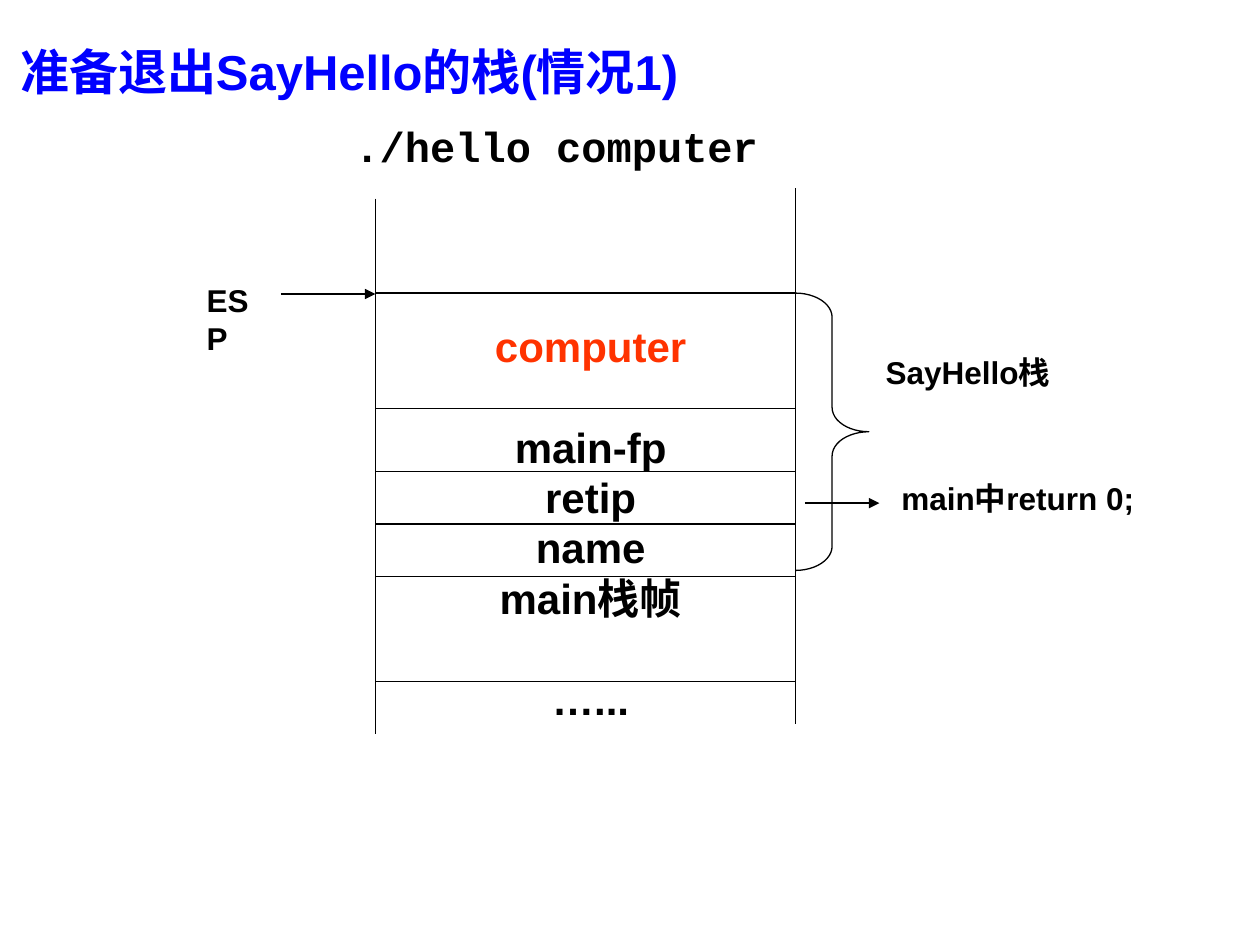
from lxml.etree import SubElement
from pptx import Presentation
from pptx.dml.color import RGBColor
from pptx.enum.shapes import MSO_CONNECTOR, MSO_SHAPE
from pptx.enum.text import PP_ALIGN as Align
from pptx.oxml.ns import qn
from pptx.util import Pt

BLACK = "000000"
LINE_HEIGHT = 28.8


def color(hex_string):
    return RGBColor.from_string(hex_string)


def format_paragraph(paragraph, size, font_color=BLACK, font_name="Arial"):
    for run in paragraph.runs:
        run.font.size = Pt(size)
        run.font.bold = True
        run.font.name = font_name
        run.font.color.rgb = color(font_color)


def add_label(slide, box, text, size, font_color=BLACK, font_name="Arial"):
    label = slide.shapes.add_textbox(*map(Pt, box))
    label.text_frame.word_wrap = False
    label.text_frame.text = text
    format_paragraph(label.text_frame.paragraphs[0], size, font_color, font_name)


def add_line(slide, start, end, width=0.75, arrow=False):
    line = slide.shapes.add_connector(
        MSO_CONNECTOR.STRAIGHT, *map(Pt, (*start, *end)))
    line.line.color.rgb = color(BLACK)
    line.line.width = Pt(width)
    if arrow:
        SubElement(line.line._get_or_add_ln(), qn("a:tailEnd"), type="triangle")
    SubElement(line._element.spPr, qn("a:effectLst"))


def add_outline(slide, preset, box):
    shape = slide.shapes.add_shape(preset, *map(Pt, box))
    shape.shadow.inherit = False
    shape.fill.background()
    shape.line.color.rgb = color(BLACK)
    shape.line.width = Pt(0.75)
    return shape


def add_headings(slide, left, top):
    add_label(slide, (left, top, 424, 41), "准备退出SayHello的栈(情况1)", 28, "0000FF")
    add_label(slide, (left + 191, top + 45.5, 245, 36), "./hello computer", 24,
              font_name="Courier New")


def add_stack_names(slide, box):
    """One line per stack entry; the two tall entries are followed by a free line."""
    entries = [("computer", "FF3300", 0), ("main-fp", BLACK, 1), ("retip", BLACK, 0),
               ("name", BLACK, 0), ("main栈帧", BLACK, 0), ("…...", BLACK, 1)]
    frame = slide.shapes.add_textbox(*map(Pt, box)).text_frame
    frame.word_wrap = True
    for index, (name, font_color, free_lines) in enumerate(entries):
        paragraph = frame.add_paragraph() if index else frame.paragraphs[0]
        paragraph.text = name
        paragraph.alignment = Align.CENTER
        paragraph.line_spacing = Pt(LINE_HEIGHT)
        paragraph.space_before = Pt(free_lines * LINE_HEIGHT)
        format_paragraph(paragraph, 24, font_color)


def add_stack(slide, left, top, width, height):
    right = left + width
    add_stack_names(slide, (left + 3, top + 72, width, 237.6))
    add_outline(slide, MSO_SHAPE.RECTANGLE, (left, top + 60, width, 66))
    for offset in (162, 192, 222, 282):
        add_line(slide, (left, top + offset), (right, top + offset))
    add_line(slide, (left, top + 6), (left, top + height), width=1)
    add_line(slide, (right, top), (right, top + height - 6))


def add_stack_pointer(slide, left, top, width):
    add_label(slide, (left, top, 50, 29), "ESP", 18)
    add_line(slide, (left + 49.5, top + 11), (left + width, top + 11), arrow=True)


def add_frame_notes(slide, left, top, height):
    """Brace around the SayHello frame, and where its return address leads."""
    brace = add_outline(slide, MSO_SHAPE.RIGHT_BRACE, (left, top, 42, height))
    brace.adjustments[0] = 0.33
    add_label(slide, (left + 44.5, top + 30.5, 112, 29), "SayHello栈", 18)
    add_line(slide, (left + 5.5, top + 120), (left + 48, top + 120), arrow=True)
    add_label(slide, (left + 53.5, top + 102.5, 156, 29), "main中return 0;", 18)


def main():
    presentation = Presentation()
    presentation.slide_width, presentation.slide_height = Pt(720), Pt(540)
    slide = presentation.slides.add_slide(presentation.slide_layouts[6])
    add_headings(slide, 4.5, 20)
    add_stack(slide, 214.5, 107.5, 240, 312)
    add_stack_pointer(slide, 111, 157, 103.5)
    add_frame_notes(slide, 454.5, 167.5, 158.5)
    presentation.save("out.pptx")


if __name__ == "__main__":
    main()
